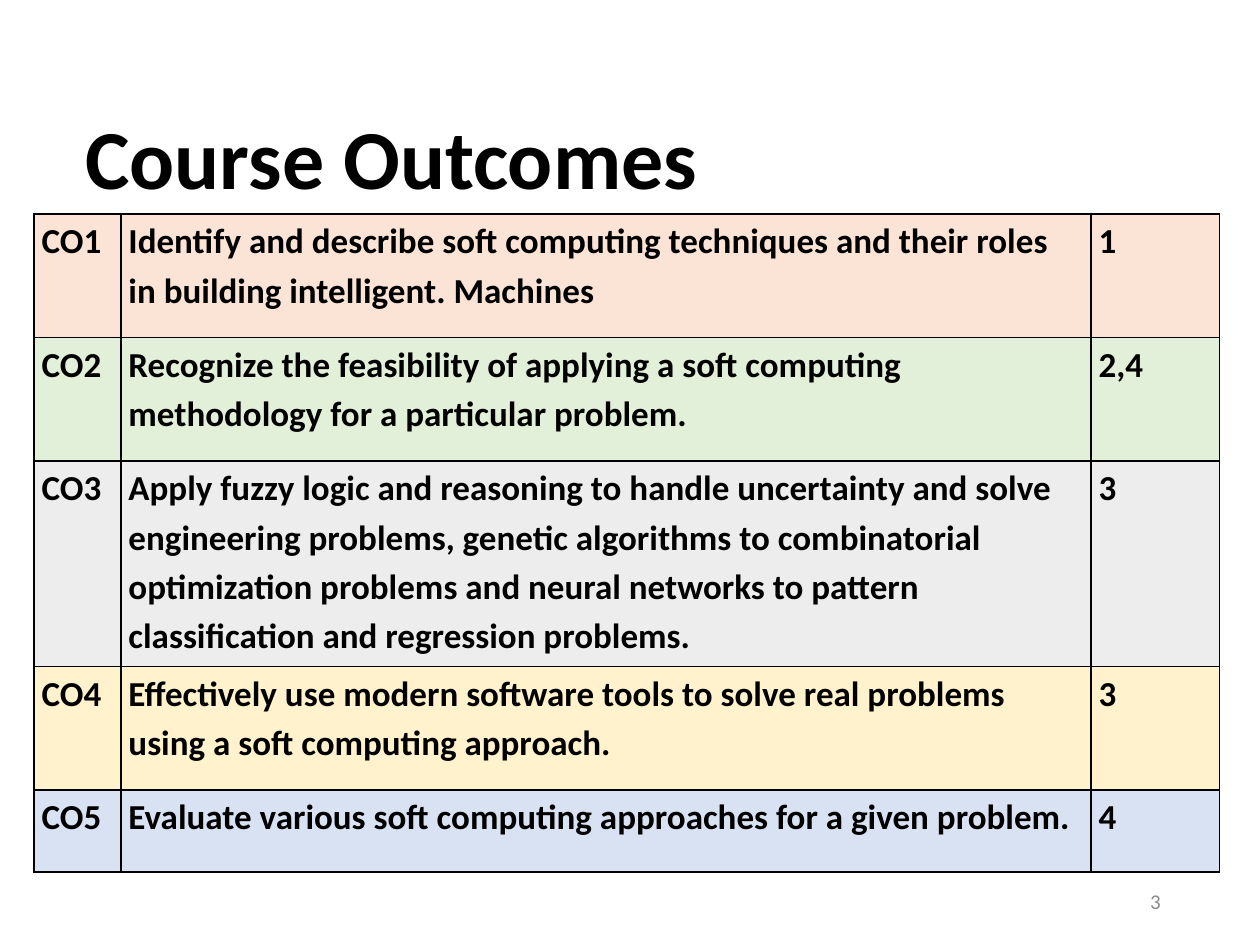
from lxml import etree
from pptx import Presentation
from pptx.dml.color import RGBColor
from pptx.enum.text import MSO_ANCHOR, PP_ALIGN
from pptx.oxml.ns import qn
from pptx.util import Inches, Pt

LEFT, RIGHT = PP_ALIGN.LEFT, PP_ALIGN.RIGHT
TOP, MIDDLE, BOTTOM = MSO_ANCHOR.TOP, MSO_ANCHOR.MIDDLE, MSO_ANCHOR.BOTTOM

FONT = "Calibri"
BLACK = RGBColor(0x00, 0x00, 0x00)
GRAY = RGBColor(0x8C, 0x8C, 0x8C)
PEACH = RGBColor(0xFB, 0xE4, 0xD5)
GREEN = RGBColor(0xE2, 0xEF, 0xD9)
SILVER = RGBColor(0xED, 0xED, 0xED)
CREAM = RGBColor(0xFF, 0xF2, 0xCC)
BLUE = RGBColor(0xD9, 0xE2, 0xF3)

COLUMN_WIDTHS = (0.69, 7.7, 1.02)
# Row height, fill, then code, outcome and level
OUTCOMES = [
    (0.98, PEACH, "CO1", "Identify and describe soft computing techniques and their "
     "roles in building intelligent. Machines", "1"),
    (0.98, GREEN, "CO2", "Recognize the feasibility of applying a soft computing "
     "methodology for a particular problem.", "2,4"),
    (1.63, SILVER, "CO3", "Apply fuzzy logic and reasoning to handle uncertainty and "
     "solve engineering problems, genetic algorithms to combinatorial optimization "
     "problems and neural networks to pattern classification and regression problems.",
     "3"),
    (0.98, CREAM, "CO4", "Effectively use modern software tools to solve real problems "
     "using a soft computing approach.", "3"),
    (0.65, BLUE, "CO5", "Evaluate various soft computing approaches for a given "
     "problem.", "4"),
]


def write_text(frame, text, size, color=BLACK, bold=False, align=LEFT,
               line_spacing=1.0, space_after=0):
    para = frame.paragraphs[0]
    para.alignment = align
    para.line_spacing = line_spacing
    para.space_after = Pt(space_after)
    span = para.add_run()
    span.text = text
    span.font.name = FONT
    span.font.size = Pt(size)
    span.font.bold = bold
    span.font.color.rgb = color


def add_text(page, left, top, width, height, text, anchor=TOP, **text_format):
    box = page.shapes.add_textbox(Inches(left), Inches(top), Inches(width), Inches(height))
    frame = box.text_frame
    frame.word_wrap = True
    frame.vertical_anchor = anchor
    write_text(frame, text, **text_format)


def add_borders(cell, color=BLACK, width=1):
    properties = cell._tc.get_or_add_tcPr()
    for side in ("a:lnL", "a:lnR", "a:lnT", "a:lnB"):
        line = etree.SubElement(properties, qn(side), w=str(Pt(width)))
        fill = etree.SubElement(line, qn("a:solidFill"))
        etree.SubElement(fill, qn("a:srgbClr"), val=str(color))


def format_cell(cell, text, fill, space_after):
    cell.margin_left = cell.margin_right = Inches(0.06)
    cell.margin_top = cell.margin_bottom = 0
    cell.vertical_anchor = TOP
    add_borders(cell)
    cell.fill.solid()
    cell.fill.fore_color.rgb = fill
    write_text(cell.text_frame, text, size=20, bold=True, line_spacing=1.15,
               space_after=space_after)


def add_outcomes_table(page, left, top, width, height):
    table = page.shapes.add_table(len(OUTCOMES), len(COLUMN_WIDTHS), Inches(left),
                                  Inches(top), Inches(width), Inches(height)).table
    table.first_row = table.horz_banding = False
    for column, column_width in zip(table.columns, COLUMN_WIDTHS):
        column.width = Inches(column_width)
    for row, (row_height, fill, *texts) in zip(table.rows, OUTCOMES):
        row.height = Inches(row_height)
        for cell, text in zip(row.cells, texts):
            format_cell(cell, text, fill, space_after=10)


def main():
    deck = Presentation()
    deck.slide_width, deck.slide_height = Inches(10), Inches(7.5)
    page = deck.slides.add_slide(deck.slide_layouts[6])
    add_text(page, 0.58, 0.89, 5.53, 0.81, "Course Outcomes", anchor=BOTTOM,
             size=48, bold=True, line_spacing=0.9)
    add_text(page, 7.06, 6.95, 2.25, 0.4, "3", anchor=MIDDLE,
             size=12, color=GRAY, align=RIGHT)
    add_outcomes_table(page, 0.27, 1.7, sum(COLUMN_WIDTHS),
                       sum(outcome[0] for outcome in OUTCOMES))
    deck.save("out.pptx")


if __name__ == "__main__":
    main()
